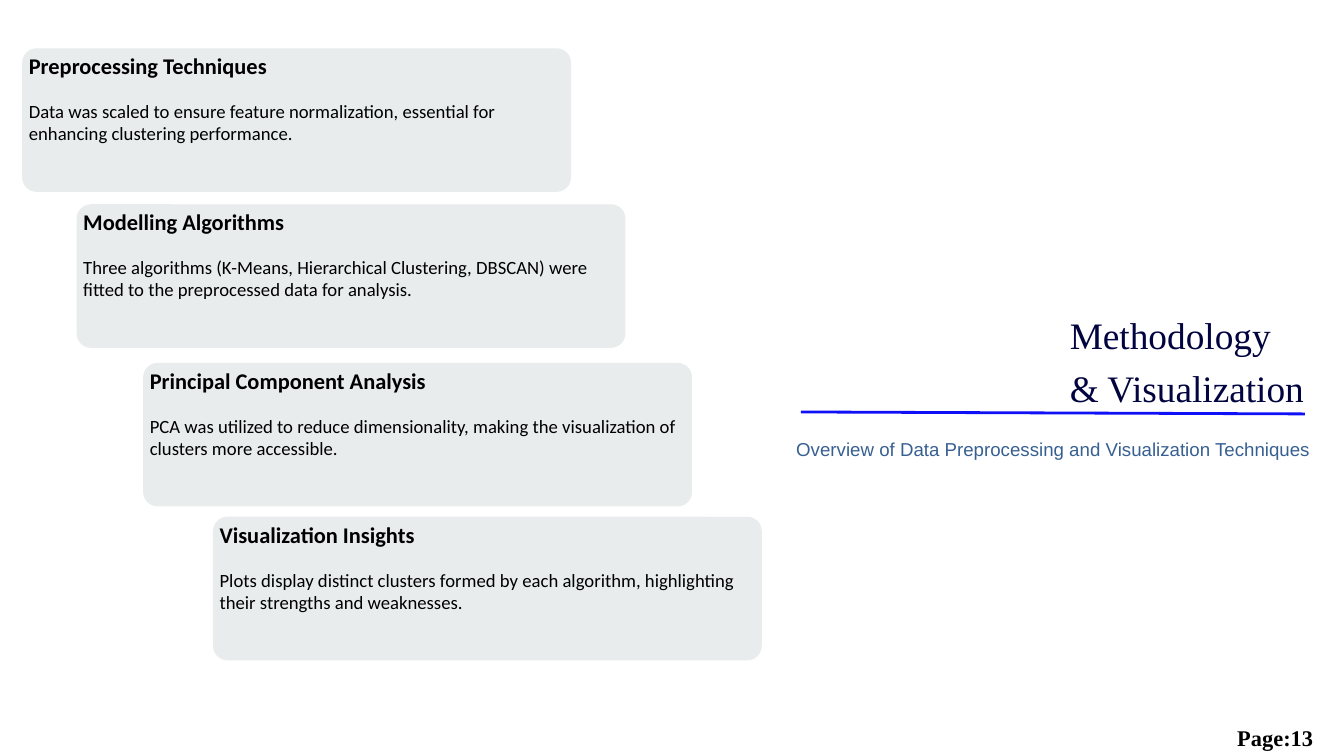
import dataclasses

import pptx
import pptx.dml.color
import pptx.enum.shapes
import pptx.enum.text
import pptx.oxml.ns
import pptx.util
from lxml import etree

Pt = pptx.util.Pt
ALIGN = pptx.enum.text.PP_ALIGN
ANCHOR = pptx.enum.text.MSO_ANCHOR


@dataclasses.dataclass(frozen=True)
class Theme:
    """Colours, fonts and type sizes of the deck."""
    navy: str = "020440"
    blue: str = "1010F6"
    steel: str = "376092"
    grey: str = "E8ECEC"
    black: str = "000000"
    serif: str = "Times New Roman"
    sans: str = "Arial"
    plain: str = "Calibri"
    title: int = 40
    head: int = 24
    body: int = 20


THEME = Theme()
CARD_W, CARD_H = 588, 153.8
CARDS = [
    (23.8, 51.8, "Preprocessing Techniques",
     "Data was scaled to ensure feature normalization, essential for "
     "enhancing clustering performance."),
    (82.1, 218.9, "Modelling Algorithms",
     "Three algorithms (K-Means, Hierarchical Clustering, DBSCAN) were "
     "fitted to the preprocessed data for analysis."),
    (153.4, 388.8, "Principal Component Analysis",
     "PCA was utilized to reduce dimensionality, making the visualization "
     "of clusters more accessible."),
    (228.2, 553.7, "Visualization Insights",
     "Plots display distinct clusters formed by each algorithm, "
     "highlighting their strengths and weaknesses."),
]


def rgb(code):
    """Turn a hex code into a colour."""
    return pptx.dml.color.RGBColor.from_string(code)


def apply(item, values):
    """Set each named attribute on an item."""
    for name, value in values.items():
        setattr(item, name, value)


def set_frame(frame, pads, anchor=ANCHOR.TOP):
    """Set wrap, anchor and the left, top, right and bottom margins."""
    sides = ("margin_left", "margin_top", "margin_right", "margin_bottom")
    apply(frame, {"word_wrap": True, "vertical_anchor": anchor,
                  "auto_size": pptx.enum.text.MSO_AUTO_SIZE.NONE})
    apply(frame, {side: Pt(pad) for side, pad in zip(sides, pads)})


def write(para, text, font, size, color, bold=False, **form):
    """Fill one paragraph and format it."""
    para.text = text
    apply(para, {"alignment": ALIGN.LEFT, **form})
    apply(para.font, {"name": font, "size": Pt(size), "bold": bold})
    para.font.color.rgb = rgb(color)


def add_title(slide, text, box):
    """Place and format the slide title."""
    title = slide.shapes.title
    apply(title, dict(zip(("left", "top", "width", "height"), map(Pt, box))))
    set_frame(title.text_frame, (0, 0, 0, 0))
    write(title.text_frame.paragraphs[0], text, THEME.serif, THEME.title,
          THEME.navy, line_spacing=Pt(56.1))


def add_label(slide, box, pads, anchor, *style, **form):
    """Add a text box with one paragraph."""
    frame = slide.shapes.add_textbox(*map(Pt, box)).text_frame
    set_frame(frame, pads, anchor)
    write(frame.paragraphs[0], *style, **form)


def add_rule(slide, ends):
    """Draw the line below the title."""
    kind = pptx.enum.shapes.MSO_CONNECTOR.STRAIGHT
    rule = slide.shapes.add_connector(kind, *map(Pt, ends))
    rule.line.color.rgb = rgb(THEME.blue)
    rule.line.width = Pt(3)
    etree.SubElement(rule._element.spPr, pptx.oxml.ns.qn("a:effectLst"))


def add_card(slide, left, top, head, body):
    """Add a rounded card with a heading and a sentence."""
    kind = pptx.enum.shapes.MSO_SHAPE.ROUNDED_RECTANGLE
    card = slide.shapes.add_shape(kind, *map(Pt, (left, top, CARD_W, CARD_H)))
    card.adjustments[0] = 0.1
    card.shadow.inherit = False
    card.fill.solid()
    card.fill.fore_color.rgb = rgb(THEME.grey)
    card.line.fill.background()
    frame = card.text_frame
    set_frame(frame, (2.6, 0, 2.6, 0))
    write(frame.paragraphs[0], head, THEME.plain, THEME.head, THEME.black, True)
    write(frame.add_paragraph(), body, THEME.plain, THEME.body, THEME.black,
          space_before=Pt(22))


def main():
    """Build and save the slide."""
    deck = pptx.Presentation()
    apply(deck, {"slide_width": Pt(1440), "slide_height": Pt(810)})
    slide = deck.slides.add_slide(deck.slide_layouts[5])
    add_title(slide, "Methodology & Visualization", (1146.2, 326.9, 252, 108.7))
    add_rule(slide, (858.2, 441.4, 1398.2, 443.5))
    add_label(slide, (846, 465.8, 594, 31.7), (7.2, 3.6, 7.2, 3.6), ANCHOR.TOP,
              "Overview of Data Preprocessing and Visualization Techniques",
              THEME.sans, THEME.body, THEME.steel)
    for card in CARDS:
        add_card(slide, *card)
    add_label(slide, (1301.8, 766.8, 128.9, 28.1), (3.6,) * 4, ANCHOR.MIDDLE,
              "Page:13", THEME.serif, THEME.head, THEME.black, True,
              alignment=ALIGN.CENTER, line_spacing=Pt(47.6))
    deck.save("out.pptx")


if __name__ == "__main__":
    main()
